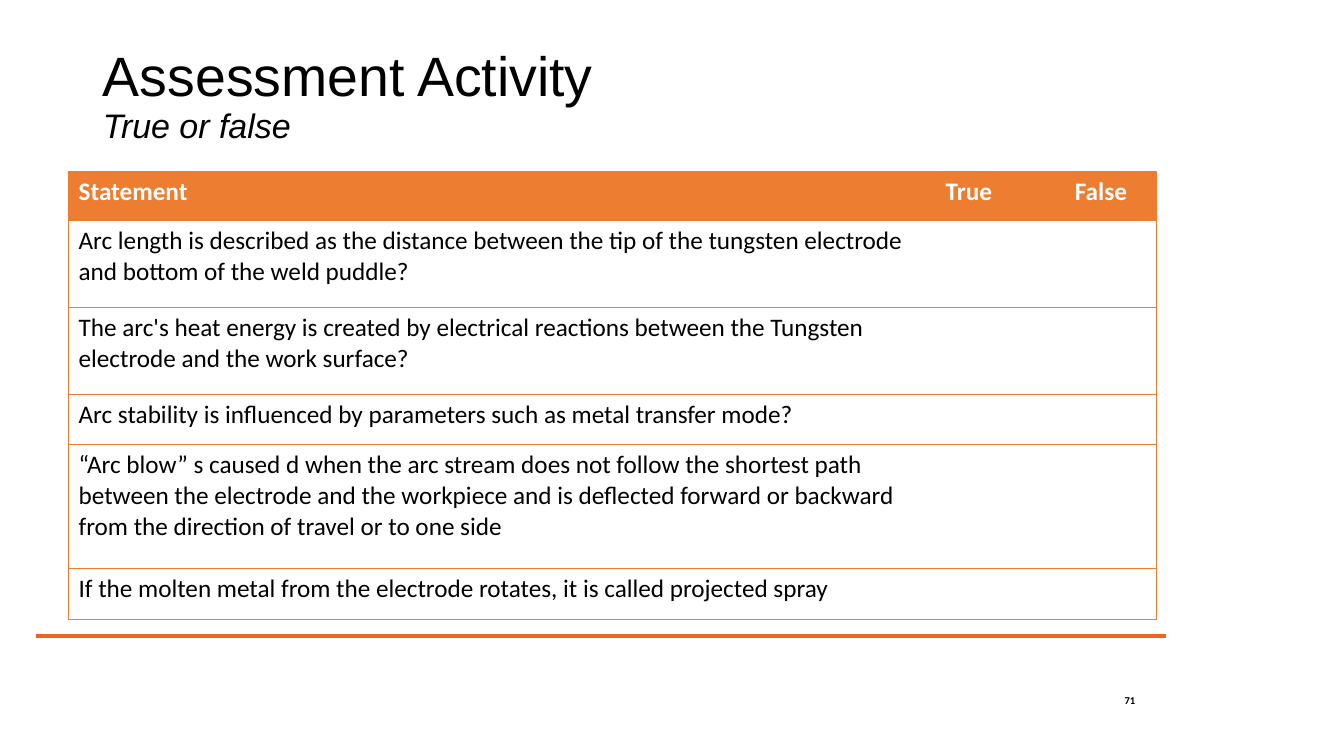
import pptx
import pptx.util
import pptx.dml.color
import pptx.enum.shapes
import pptx.enum.text
import pptx.oxml.ns
from lxml import etree

TITLE, SUBTITLE = "Assessment Activity", "True or false"
HEADER = ["Statement", "True", "False"]
STATEMENTS = [
    "Arc length is described as the distance between the tip of the tungsten electrode and bottom of the weld puddle?",
    "The arc's heat energy is created by electrical reactions between the Tungsten electrode and the work surface?",
    "Arc stability is influenced by parameters such as metal transfer mode?",
    "“Arc blow” s caused d when the arc stream does not follow the shortest path between the electrode and the workpiece and is deflected forward or backward from the direction of travel or to one side",
    "If the molten metal from the electrode rotates, it is called projected spray",
]
PAGE = "71"
COLUMNS = [8.6, 1.28, 0.91]
ROWS = [0.49, 0.86, 0.86, 0.5, 1.23, 0.5]
ORANGE, RULE, BLACK, WHITE = "ED7D31", "EC6422", "000000", "FFFFFF"
EDGES = ("lnL", "lnR", "lnT", "lnB")

inch = pptx.util.Inches
qn = pptx.oxml.ns.qn


def color(value):
    return pptx.dml.color.RGBColor.from_string(value)


def add_run(p, text, value, **formats):
    r = p.add_run()
    r.text = text
    r.font.color.rgb = color(value)
    for name, setting in formats.items():
        setattr(r.font, name, setting)


def set_borders(cell, visible):
    """Draw the visible edges in orange and clear the others."""
    tc_pr = cell._tc.get_or_add_tcPr()
    for edge in EDGES:
        ln = etree.SubElement(tc_pr, qn("a:" + edge), w=str(pptx.util.Pt(0.5)))
        if edge in visible:
            fill = etree.SubElement(ln, qn("a:solidFill"))
            etree.SubElement(fill, qn("a:srgbClr"), val=ORANGE)
        else:
            etree.SubElement(ln, qn("a:noFill"))


def add_title(s):
    title = s.shapes.title
    title.left, title.top, title.width, title.height = map(inch, (0.92, 0.4, 11.5, 1.13))
    tf = title.text_frame
    tf.word_wrap = True
    tf.auto_size = pptx.enum.text.MSO_AUTO_SIZE.NONE
    tf.vertical_anchor = pptx.enum.text.MSO_ANCHOR.MIDDLE
    p = tf.paragraphs[0]
    p.alignment = pptx.enum.text.PP_ALIGN.LEFT
    p.line_spacing = 0.9
    add_run(p, TITLE, BLACK, name="Arial", size=pptx.util.Pt(39.6))
    p.add_line_break()
    add_run(p, SUBTITLE, BLACK, name="Arial", size=pptx.util.Pt(24.3), italic=True)


def add_statements(s):
    rows = [HEADER] + [[text, "", ""] for text in STATEMENTS]
    table = s.shapes.add_table(len(ROWS), len(COLUMNS), inch(0.68), inch(1.7),
                               inch(sum(COLUMNS)), inch(sum(ROWS))).table
    table.horz_banding = False
    for column, width in zip(table.columns, COLUMNS):
        column.width = inch(width)
    for i, texts in enumerate(rows):
        table.rows[i].height = inch(ROWS[i])
        header = i == 0
        for j, text in enumerate(texts):
            cell = table.cell(i, j)
            sides = {0: ["lnL"], len(COLUMNS) - 1: ["lnR"]}.get(j, [])
            set_borders(cell, sides + ["lnT", "lnB"])
            cell.fill.solid()
            cell.fill.fore_color.rgb = color(ORANGE if header else WHITE)
            if text:
                add_run(cell.text_frame.paragraphs[0], text, WHITE if header else BLACK,
                        name="Calibri", size=pptx.util.Pt(18), bold=header)


def add_footer(s):
    line = s.shapes.add_connector(pptx.enum.shapes.MSO_CONNECTOR.STRAIGHT,
                                  inch(0.36), inch(6.31), inch(11.56), inch(6.31))
    line.line.color.rgb = color(RULE)
    line.line.width = pptx.util.Pt(2.25)
    etree.SubElement(line._element.spPr, qn("a:effectLst"))

    tf = s.shapes.add_textbox(*map(inch, (10.72, 6.83, 0.54, 0.24))).text_frame
    tf.word_wrap = True
    tf.vertical_anchor = pptx.enum.text.MSO_ANCHOR.MIDDLE
    for side in ("left", "top", "right", "bottom"):
        setattr(tf, "margin_" + side, 0)
    p = tf.paragraphs[0]
    p.alignment = pptx.enum.text.PP_ALIGN.RIGHT
    add_run(p, PAGE, BLACK, name="Calibri", size=pptx.util.Pt(7.5), bold=True)


def main():
    prs = pptx.Presentation()
    prs.slide_width, prs.slide_height = inch(13.33), inch(7.5)
    s = prs.slides.add_slide(prs.slide_layouts.get_by_name("Title Only"))
    add_footer(s)
    add_title(s)
    add_statements(s)
    prs.save("out.pptx")


if __name__ == "__main__":
    main()
